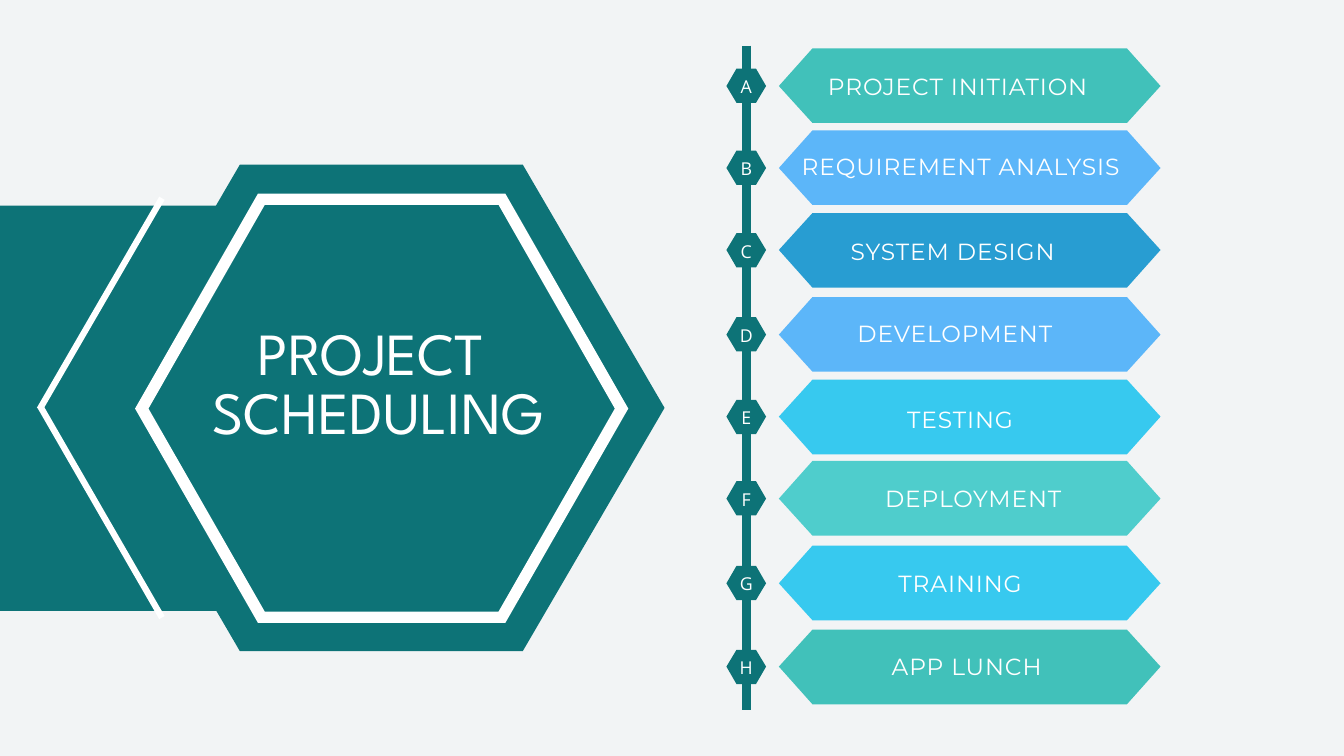
from dataclasses import dataclass

from lxml.etree import SubElement
from pptx import Presentation
from pptx.dml.color import RGBColor
from pptx.enum.shapes import MSO_CONNECTOR, MSO_SHAPE
from pptx.enum.text import MSO_ANCHOR, MSO_AUTO_SIZE, PP_ALIGN
from pptx.oxml.ns import qn
from pptx.util import Pt

PX = 9144


@dataclass(frozen=True)
class TextStyle:
    font: str
    size: int
    leading: float
    tracking: int = 0


@dataclass(frozen=True)
class Theme:
    background: str = "F2F4F5"
    primary: str = "0D7377"
    light: str = "FFFFFF"
    teal: str = "41C1BA"
    aqua: str = "4FCDCC"
    sky: str = "5CB6F9"
    blue: str = "289DD2"
    cyan: str = "37C9EF"
    title: TextStyle = TextStyle("League Spartan", 64, 64)
    label: TextStyle = TextStyle("Montserrat", 25, 30.5, 100)
    badge: TextStyle = TextStyle("Open Sans", 19, 26.6)


def hexagon_points(left, top, width, height, inset):
    right, bottom, middle = left + width, top + height, top + height / 2
    return [
        (right, middle),
        (right - inset, bottom),
        (left + inset, bottom),
        (left, middle),
        (left + inset, top),
        (right - inset, top),
    ]


class SlideBuilder:
    def __init__(self, slide, theme):
        self.slide = slide
        self.theme = theme
        self.paint(slide.background.fill, theme.background)

    def paint(self, fill, color):
        fill.solid()
        fill.fore_color.rgb = RGBColor.from_string(color)

    def finish(self, shape, color):
        self.paint(shape.fill, color)
        shape.line.fill.background()
        shape.shadow.inherit = False

    def rectangle(self, left, top, width, height, color):
        bounds = [value * PX for value in (left, top, width, height)]
        shape = self.slide.shapes.add_shape(MSO_SHAPE.RECTANGLE, *bounds)
        self.finish(shape, color)

    def polygon(self, color, *contours):
        start = contours[0][0]
        builder = self.slide.shapes.build_freeform(*start, scale=PX)
        builder.add_line_segments(contours[0][1:])
        for contour in contours[1:]:
            builder.move_to(*contour[0])
            builder.add_line_segments(contour[1:])
        self.finish(builder.convert_to_shape(), color)

    def hexagon(self, left, top, width, height, inset, color):
        self.polygon(color, hexagon_points(left, top, width, height, inset))

    def line(self, start, end, color, weight):
        ends = [value * PX for value in (*start, *end)]
        connector = self.slide.shapes.add_connector(MSO_CONNECTOR.STRAIGHT, *ends)
        connector.line.color.rgb = RGBColor.from_string(color)
        connector.line.width = Pt(weight)
        SubElement(connector._element.spPr, qn("a:effectLst"))

    def text(self, left, top, width, height, lines, style,
             align=PP_ALIGN.LEFT, anchor=MSO_ANCHOR.TOP, margin=0, grow=True):
        bounds = [value * PX for value in (left, top, width, height)]
        frame = self.slide.shapes.add_textbox(*bounds).text_frame
        frame.word_wrap = True
        frame.auto_size = MSO_AUTO_SIZE.SHAPE_TO_FIT_TEXT if grow else MSO_AUTO_SIZE.NONE
        frame.vertical_anchor = anchor
        frame.margin_left = frame.margin_right = margin * PX
        frame.margin_top = frame.margin_bottom = margin * PX
        for index, line in enumerate(lines):
            para = frame.add_paragraph() if index else frame.paragraphs[0]
            para.alignment = align
            para.line_spacing = Pt(style.leading)
            para.font.name = style.font
            para.font.size = Pt(style.size)
            para.font.color.rgb = RGBColor.from_string(self.theme.light)
            span = para.add_run()
            span.text = line
            if style.tracking:
                span._r.get_or_add_rPr().set("spc", str(style.tracking))

    def title_panel(self, lines):
        theme = self.theme
        self.hexagon(146, 245, 843, 724, 211, theme.primary)
        self.rectangle(-14, 306, 715, 603, theme.primary)
        outer = hexagon_points(201, 288, 734, 639, 183)
        inner = hexagon_points(221, 305, 694, 605, 173)
        self.polygon(theme.light, outer, inner[::-1])
        self.line((241, 919), (60, 605), theme.light, 6.75)
        self.line((59, 609), (241, 295), theme.light, 6.75)
        self.text(173, 487, 780, 182, lines, theme.title, PP_ALIGN.CENTER)

    def badge(self, top, letter):
        self.hexagon(1081, top, 59, 51, 15, self.theme.primary)
        self.text(1089, top - 3, 43, 54, [letter], self.theme.badge,
                  PP_ALIGN.CENTER, MSO_ANCHOR.MIDDLE, margin=6, grow=False)

    def step(self, top, letter, label, color, label_left, label_top, label_width):
        self.badge(top + 30, letter)
        self.hexagon(1159, top, 568, 111, 50, color)
        self.text(label_left, label_top, label_width, 41, [label], self.theme.label)


def main():
    theme = Theme()
    deck = Presentation()
    deck.slide_width = 2000 * PX
    deck.slide_height = 1125 * PX
    page = SlideBuilder(deck.slides.add_slide(deck.slide_layouts[6]), theme)

    page.title_panel(["PROJECT ", "SCHEDULING"])
    page.line((1111, 68), (1111, 1057), theme.primary, 9)

    steps = [
        (72, "A", "PROJECT INITIATION", theme.teal, 1232, 107, 400),
        (194, "B", "REQUIREMENT ANALYSIS", theme.sky, 1193, 226, 488),
        (317, "C", "SYSTEM DESIGN", theme.blue, 1266, 352, 353),
        (442, "D", "DEVELOPMENT", theme.sky, 1276, 474, 356),
        (565, "E", "TESTING", theme.cyan, 1350, 602, 186),
        (686, "F", "DEPLOYMENT", theme.aqua, 1317, 720, 275),
        (812, "G", "TRAINING", theme.cyan, 1337, 847, 211),
        (937, "H", "APP LUNCH", theme.teal, 1327, 970, 292),
    ]
    for step in steps:
        page.step(*step)

    deck.save("out.pptx")


if __name__ == "__main__":
    main()
